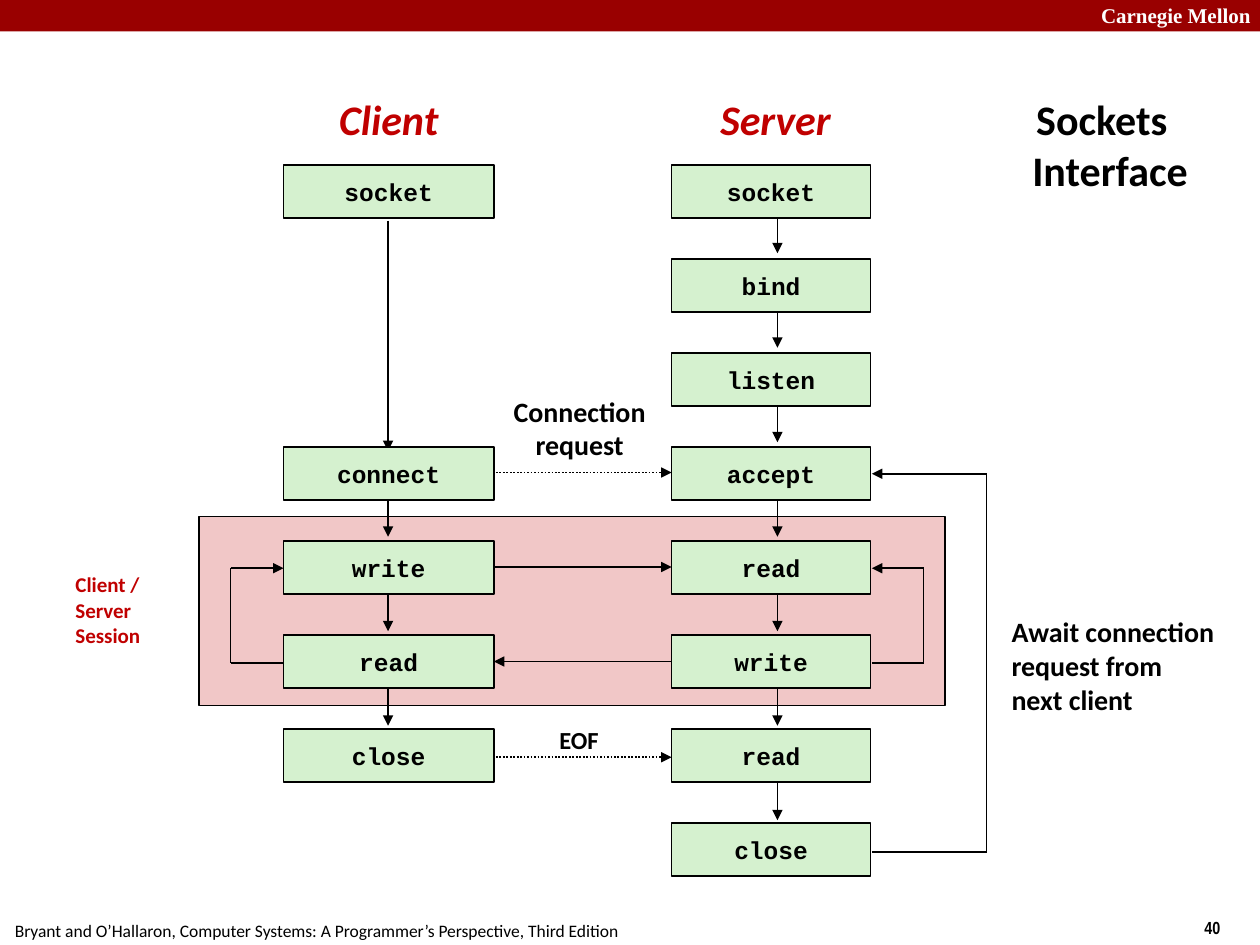
from lxml import etree
from pptx import Presentation
from pptx.dml.color import RGBColor
from pptx.enum.dml import MSO_LINE
from pptx.enum.shapes import MSO_CONNECTOR, MSO_SHAPE
from pptx.enum.text import MSO_ANCHOR, PP_ALIGN
from pptx.oxml.ns import qn
from pptx.util import Inches, Pt

LINE, RECT = MSO_CONNECTOR.STRAIGHT, MSO_SHAPE.RECTANGLE
LEFT, MID = PP_ALIGN.LEFT, PP_ALIGN.CENTER
TOP, CENTER = MSO_ANCHOR.TOP, MSO_ANCHOR.MIDDLE
DOT = MSO_LINE.ROUND_DOT
BLACK = RGBColor(0x00, 0x00, 0x00)
WHITE = RGBColor(0xFF, 0xFF, 0xFF)
BAR = RGBColor(0x99, 0x00, 0x00)
RED = RGBColor(0xC0, 0x00, 0x00)
PINK = RGBColor(0xF1, 0xC7, 0xC7)
GREEN = RGBColor(0xD5, 0xF1, 0xCF)

CLIENT = {0: "socket", 3: "connect", 4: "write", 5: "read", 6: "close"}
SERVER = ["socket", "bind", "listen", "accept", "read", "write", "read", "close"]
COLUMNS = [
    (2.25, 1.67, CLIENT),
    (5.33, 1.58, dict(enumerate(SERVER))),
]
ROW, STEP, TALL = 1.31, 0.746, 0.42

DOWN = [(3.08, (3, 4, 5)), (6.17, range(7))]
CALLS = [
    (3.33, 5.33, 3.75, DOT),
    (3.92, 5.33, 4.5, None),
    (5.33, 3.92, 5.25, None),
    (3.33, 5.33, 6.01, DOT),
]
LOOPS = [
    (6.92, 7.33, 5.26, 4.51),
    (2.25, 1.83, 5.26, 4.51),
    (6.92, 7.83, 6.76, 3.76),
]
LABELS = [
    (8.64, -0.03, 1.43, 0.3, ["Carnegie Mellon"], "Times New Roman", 12, WHITE, LEFT, TOP),
    (9.46, 7.23, 0.75, 0.27, ["40"], "Arial Narrow", 10, BLACK, LEFT, TOP),
    (0.5, 4.49, 0.92, 0.7, ["Client / Server", "Session"], "Calibri", 12, RED, LEFT, CENTER),
    (3.94, 3.08, 1.32, 0.63, ["Connection", "request"], "Calibri", 16, BLACK, MID, CENTER),
    (4.3, 5.71, 0.59, 0.33, ["EOF"], "Calibri", 14, BLACK, MID, CENTER),
    (7.93, 4.83, 1.86, 0.9, ["Await connection", "request from", "next client"],
     "Calibri", 16, BLACK, LEFT, CENTER),
]
HEADS = [(2.55, 1.07, "Client"), (5.58, 1.15, "Server")]
FOOT = ("Bryant and O’Hallaron, Computer Systems: A Programmer’s Perspective, "
        "Third Edition")

deck = Presentation()
deck.slide_width, deck.slide_height = Inches(10), Inches(7.5)
shapes = deck.slides.add_slide(deck.slide_layouts[6]).shapes


def write(shape, lines, font, size, color, align, anchor, wrap, bold=True, italic=False):
    frame = shape.text_frame
    frame.text = "\n".join(lines)
    frame.word_wrap = wrap
    frame.vertical_anchor = anchor
    for para in frame.paragraphs:
        para.alignment = align
        for run in para.runs:
            face = run.font
            face.name, face.size = font, Pt(size)
            face.bold, face.italic = bold, italic
            face.color.rgb = color


def label(x, y, w, h, lines, font, size, color, align, anchor, wrap=None, **style):
    box = shapes.add_textbox(Inches(x), Inches(y), Inches(w), Inches(h))
    if wrap is None:
        wrap = align == LEFT
    write(box, lines, font, size, color, align, anchor, wrap, **style)
    return box


def block(x, y, w, h, fill, edge=True):
    box = shapes.add_shape(RECT, Inches(x), Inches(y), Inches(w), Inches(h))
    box.shadow.inherit = False
    box.fill.solid()
    box.fill.fore_color.rgb = fill
    if edge:
        box.line.color.rgb = BLACK
        box.line.width = Pt(1)
    else:
        box.line.fill.background()
    return box


def link(x1, y1, x2, y2, head=True, dash=None):
    wire = shapes.add_connector(LINE, Inches(x1), Inches(y1), Inches(x2), Inches(y2))
    wire.line.color.rgb = BLACK
    wire.line.width = Pt(1)
    if dash:
        wire.line.dash_style = dash
    if head:
        etree.SubElement(wire.line._get_or_add_ln(), qn("a:tailEnd"), type="triangle")
    etree.SubElement(wire._element.spPr, qn("a:effectLst"))


block(0, 0, 10, 0.25, BAR, edge=False)
block(1.58, 4.1, 5.92, 1.5, PINK)

for near, far, low, high in LOOPS:
    link(near, low, far, low, head=False)
    link(far, low, far, high, head=False)
    link(far, high, near, high)

link(3.08, 1.75, 3.08, 3.58)
for x, rows in DOWN:
    for row in rows:
        y = 1.68 + 0.75 * row
        link(x, y, x, y + 0.33)
for start, end, y, dash in CALLS:
    link(start, y, end, y, dash=dash)

for x, w, steps in COLUMNS:
    for row, name in steps.items():
        box = block(x, ROW + STEP * row, w, TALL, GREEN)
        write(box, [name], "Courier New", 14, BLACK, MID, CENTER, False)

for item in LABELS:
    label(*item)
for x, w, name in HEADS:
    label(x, 0.69, w, 0.5, [name], "Calibri", 24, RED, MID, CENTER, italic=True)
label(0.02, 7.25, 5.06, 0.27, [FOOT], "Calibri", 10, BLACK, LEFT, TOP, bold=False)

title = label(7.58, 0.49, 2.33, 1.31, ["Sockets Interface"], "Calibri", 24, BLACK,
              MID, CENTER, wrap=True)
props = title.text_frame.paragraphs[0]._p.get_or_add_pPr()
props.set("marL", str(Inches(0.13)))
props.set("indent", str(Inches(-0.13)))

deck.save("out.pptx")
